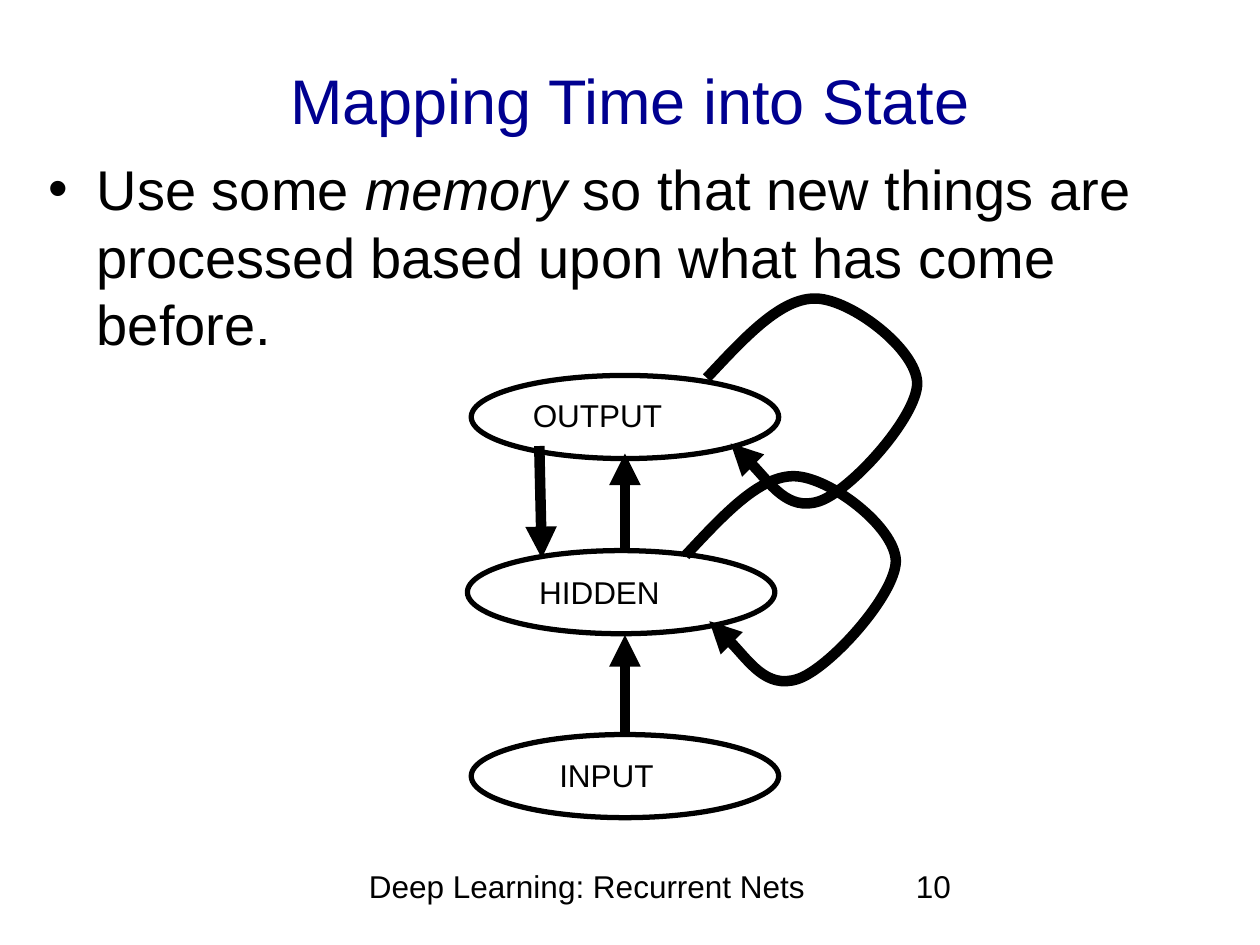
import pptx
import pptx.util
import pptx.dml.color
import pptx.enum.shapes
import pptx.enum.text
import pptx.oxml
import pptx.oxml.ns
from pptx.util import Inches, Pt

FONT = "Arial"
BLACK, NAVY = "000000", "000090"
HEADING = "Mapping Time into State"
POINT = [("Use some ", False), ("memory", True),
         (" so that new things are processed based upon what has come before.", False)]
LAYERS = [("INPUT", 3.74, 5.83, 4.34, 5.9),
          ("HIDDEN", 3.71, 4.37, 4.18, 4.45),
          ("OUTPUT", 3.74, 2.98, 4.13, 3.04)]
LAYER_SIZE = (2.44, 0.66)
LABEL_SIZE = (1.58, 0.5)
FLOWS = [(4.96, 5.81, 4.96, 5.04), (4.96, 4.35, 4.96, 3.6), (4.28, 3.54, 4.3, 4.43)]
LOOP_STARTS = [(5.61, 3), (5.44, 4.41)]
LOOP_CURVE = [(0.3, -0.32), (0.59, -0.64), (0.87, -0.63),
              (1.15, -0.62), (1.66, -0.23), (1.67, 0.04),
              (1.67, 0.31), (1.14, 0.9), (0.89, 0.98),
              (0.64, 1.06), (0.3, 0.6), (0.19, 0.52)]
FOOTER = [("Deep Learning: Recurrent Nets", 2.83, 3.75), ("10", 7.17, 2.33)]
FOOTER_TOP, FOOTER_HEIGHT = 6.83, 0.52


def color(value):
    return pptx.dml.color.RGBColor.from_string(value)


def element(tag, **attributes):
    node = pptx.oxml.parse_xml(f"<{tag} {pptx.oxml.ns.nsdecls('a')}/>")
    for key, value in attributes.items():
        node.set(key, value)
    return node


def write(paragraph, text, size, tint=BLACK, italic=False):
    run = paragraph.add_run()
    run.text = text
    run.font.name, run.font.size, run.font.italic = FONT, Pt(size), italic
    run.font.color.rgb = color(tint)


def text_frame(left, top, width, height):
    frame = slide.shapes.add_textbox(*map(Inches, (left, top, width, height))).text_frame
    frame.word_wrap = True
    return frame


def outline(shape, width, arrow=False):
    shape.line.color.rgb = color(BLACK)
    shape.line.width = Pt(width)
    if arrow:
        shape.line._get_or_add_ln().append(element("a:tailEnd", type="triangle"))


def add_loop(start):
    x, y = start
    builder = slide.shapes.build_freeform(Inches(x), Inches(y))
    builder.add_line_segments([(Inches(x + dx), Inches(y + dy)) for dx, dy in LOOP_CURVE],
                              close=False)
    loop = builder.convert_to_shape()
    segments = loop._element.findall(".//" + pptx.oxml.ns.qn("a:lnTo"))
    for first in range(0, len(segments), 3):
        curve = element("a:cubicBezTo")
        segments[first].addprevious(curve)
        for segment in segments[first:first + 3]:
            curve.append(segment[0])
            segment.getparent().remove(segment)
    loop.shadow.inherit = False
    loop.fill.background()
    outline(loop, 6, arrow=True)


deck = pptx.Presentation()
deck.slide_width, deck.slide_height = Inches(10), Inches(7.5)
slide = deck.slides.add_slide(deck.slide_layouts[5])

heading = slide.shapes.title
heading.left, heading.top, heading.width, heading.height = map(Inches, (0.75, 0.33, 8.5, 0.92))
heading.text_frame.vertical_anchor = pptx.enum.text.MSO_ANCHOR.MIDDLE
heading_line = heading.text_frame.paragraphs[0]
heading_line.alignment = pptx.enum.text.PP_ALIGN.CENTER
write(heading_line, HEADING, 36, NAVY)

point = text_frame(0.29, 1.18, 9.42, 5.83).paragraphs[0]
point.space_before = Pt(6.4)
indent = point._p.get_or_add_pPr()
indent.set("marL", str(Inches(0.38)))
indent.set("indent", str(-Inches(0.38)))
indent.append(element("a:buFont", typeface=FONT))
indent.append(element("a:buChar", char="•"))
for words, italic in POINT:
    write(point, words, 32, italic=italic)

for name, left, top, label_left, label_top in LAYERS:
    layer = slide.shapes.add_shape(pptx.enum.shapes.MSO_SHAPE.OVAL,
                                   *map(Inches, (left, top, *LAYER_SIZE)))
    layer.shadow.inherit = False
    layer.fill.background()
    outline(layer, 3)
    label = text_frame(label_left, label_top, *LABEL_SIZE)
    label.vertical_anchor = pptx.enum.text.MSO_ANCHOR.MIDDLE
    write(label.paragraphs[0], name, 18)

for ends in FLOWS:
    flow = slide.shapes.add_connector(pptx.enum.shapes.MSO_CONNECTOR.STRAIGHT,
                                      *map(Inches, ends))
    outline(flow, 6, arrow=True)
    flow._element.spPr.append(element("a:effectLst"))

for start in LOOP_STARTS:
    add_loop(start)

for words, left, width in FOOTER:
    write(text_frame(left, FOOTER_TOP, width, FOOTER_HEIGHT).paragraphs[0], words, 18)

deck.save("out.pptx")
